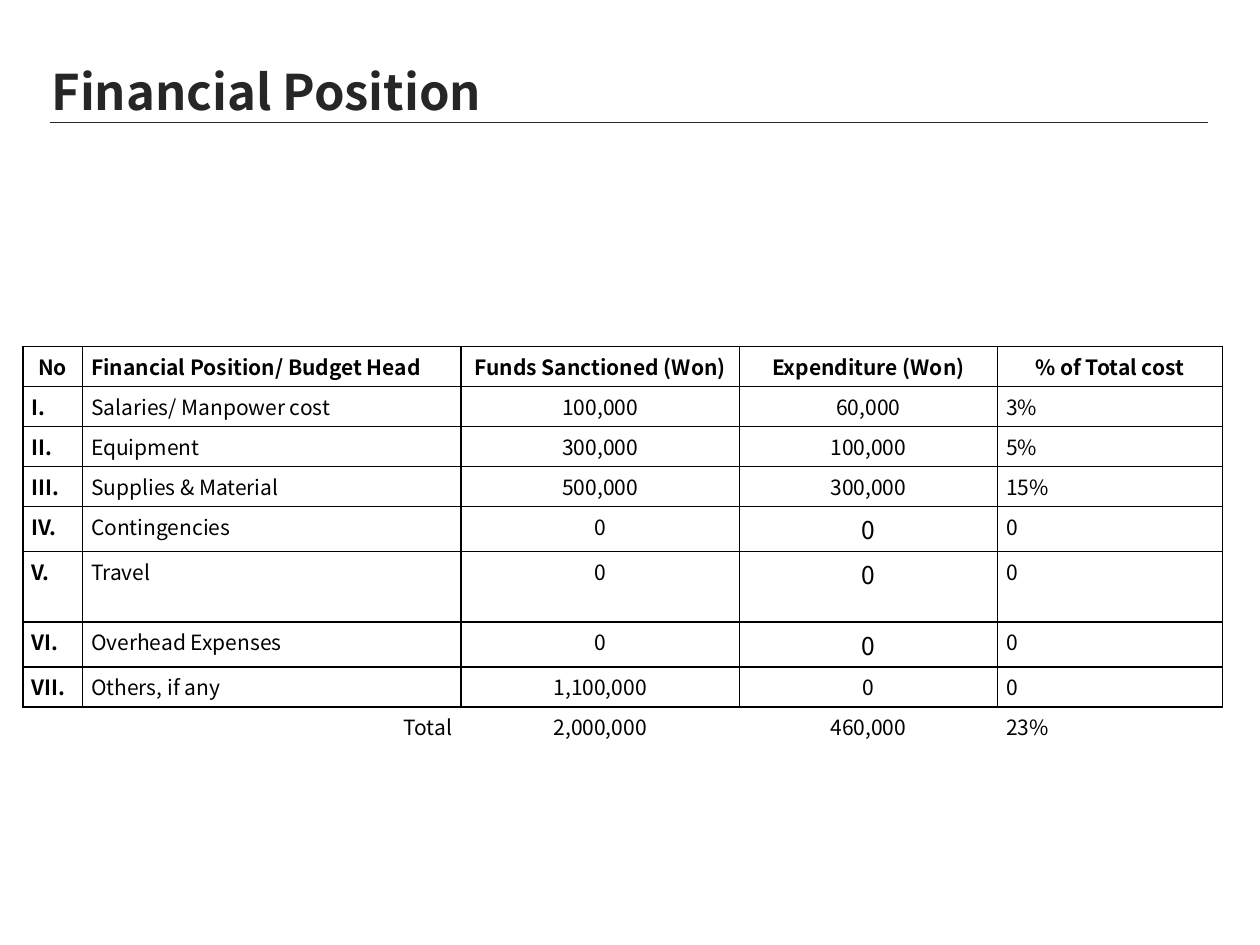
from lxml.etree import SubElement
from pptx import Presentation
from pptx.dml.color import RGBColor
from pptx.enum.shapes import MSO_CONNECTOR as Conn
from pptx.enum.text import MSO_ANCHOR as Anchor, PP_ALIGN as Align
from pptx.oxml.ns import qn
from pptx.util import Pt

TITLE = "Financial Position"
HEADER = ("No", "Financial Position/ Budget Head", "Funds Sanctioned (Won)",
          "Expenditure (Won)", "% of Total cost")
BUDGET = [
    ("I.", "Salaries/ Manpower cost", "100,000", "60,000", "3%"),
    ("II.", "Equipment", "300,000", "100,000", "5%"),
    ("III.", "Supplies & Material", "500,000", "300,000", "15%"),
    ("IV.", "Contingencies", "0", "0", "0"),
    ("V.", "Travel", "0", "0", "0"),
    ("VI.", "Overhead Expenses", "0", "0", "0"),
    ("VII.", "Others, if any", "1,100,000", "0", "0"),
]
TOTAL = ("", "Total", "2,000,000", "460,000", "23%")
ROWS = [HEADER, *BUDGET, TOTAL]
LAST = len(ROWS) - 1

COLORS = {"title": "262626", "text": "000000", "border": "000000"}
FONT = "Noto Sans CJK SC"
COL_WIDTHS = (34, 216.5, 159, 147.5, 128.5)
ROW_HEIGHT = 22.9
SPECIAL_HEIGHTS = {4: 25.7, 5: 40.2, 6: 25.7}
LARGE_ZERO_ROWS = (4, 5, 6)
COL_ALIGN = (Align.LEFT, Align.LEFT, Align.CENTER, Align.CENTER, Align.LEFT)


def add_run(p, text, size, color, bold=False):
    r = p.add_run()
    r.text = text
    r.font.name = FONT
    r.font.size = Pt(size)
    r.font.bold = bold
    r.font.color.rgb = RGBColor.from_string(COLORS[color])
    ea = SubElement(r.font._element, qn("a:ea"))
    ea.set("typeface", FONT)


def set_borders(cell, visible):
    tc_pr = cell._tc.get_or_add_tcPr()
    for side in "LRTB":
        ln = SubElement(tc_pr, qn(f"a:ln{side}"), w=str(Pt(1)))
        if side in visible:
            fill = SubElement(ln, qn("a:solidFill"))
            SubElement(fill, qn("a:srgbClr"), val=COLORS["border"])
        else:
            SubElement(ln, qn("a:noFill"))


def cell_align(row, col):
    if row == 0:
        return Align.LEFT if col == 1 else Align.CENTER
    if row == LAST and col == 1:
        return Align.RIGHT
    return COL_ALIGN[col]


def add_title(s):
    tf = s.shapes.add_textbox(Pt(22.3), Pt(17.3), Pt(671.8), Pt(69.8)).text_frame
    tf.word_wrap = True
    tf.vertical_anchor = Anchor.MIDDLE
    add_run(tf.paragraphs[0], TITLE, 28, "title", True)
    rule = s.shapes.add_connector(Conn.STRAIGHT, Pt(28.8), Pt(70), Pt(690.5), Pt(70))
    rule.line.width = Pt(1)
    rule.line.color.rgb = RGBColor.from_string(COLORS["title"])
    SubElement(rule._element.spPr, qn("a:effectLst"))


def add_budget_table(s):
    heights = [SPECIAL_HEIGHTS.get(i, ROW_HEIGHT) for i in range(len(ROWS))]
    table = s.shapes.add_table(len(ROWS), len(HEADER), Pt(13), Pt(198),
                               Pt(sum(COL_WIDTHS)), Pt(sum(heights))).table
    table.first_row = table.horz_banding = False
    for column, width in zip(table.columns, COL_WIDTHS):
        column.width = Pt(width)
    for i, (row, height) in enumerate(zip(ROWS, heights)):
        table.rows[i].height = Pt(height)
        for j, text in enumerate(row):
            cell = table.cell(i, j)
            cell.margin_left = cell.margin_right = Pt(5.1)
            cell.margin_top = cell.margin_bottom = Pt(2.6)
            set_borders(cell, "T" if i == LAST else "LRTB")
            cell.fill.background()
            p = cell.text_frame.paragraphs[0]
            p.alignment = cell_align(i, j)
            size = 14 if i in LARGE_ZERO_ROWS and j == 3 else 12
            if text:
                add_run(p, text, size, "text", i == 0 or j == 0)


def main():
    prs = Presentation()
    prs.slide_width, prs.slide_height = Pt(720), Pt(540)
    s = prs.slides.add_slide(prs.slide_layouts[6])
    add_title(s)
    add_budget_table(s)
    prs.save("out.pptx")


if __name__ == "__main__":
    main()
